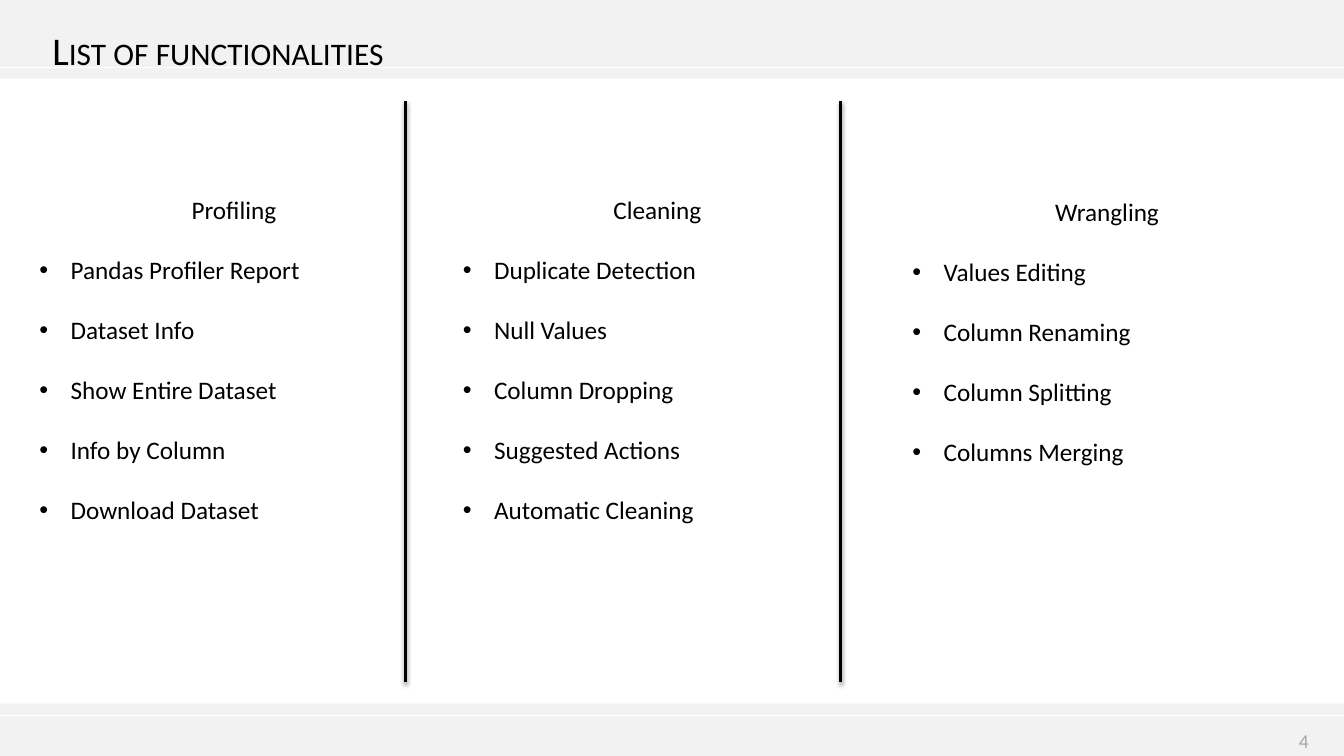
from lxml import etree
from pptx import Presentation
from pptx.dml.color import RGBColor
from pptx.enum.shapes import MSO_CONNECTOR, MSO_SHAPE
from pptx.enum.text import MSO_ANCHOR, MSO_AUTO_SIZE, PP_ALIGN
from pptx.oxml.ns import qn
from pptx.util import Inches, Pt

TITLE = "List of functionalities"
PAGE_NUMBER = "4"
COLUMNS = [
    # heading, left, top, items
    ("Profiling", 0.29, 1.88, ["Pandas Profiler Report", "Dataset Info", "Show Entire Dataset",
                               "Info by Column", "Download Dataset"]),
    ("Cleaning", 4.49, 1.88, ["Duplicate Detection", "Null Values", "Column Dropping",
                              "Suggested Actions", "Automatic Cleaning"]),
    ("Wrangling", 8.95, 1.9, ["Values Editing", "Column Renaming", "Column Splitting",
                              "Columns Merging"]),
]
BANDS = [(0, 0.78), (6.98, 0.52)]  # top, height
BAND_RULES = [0.67, 0.8, 6.97, 7.1]
DIVIDERS = [4.02, 8.34]

WIDTH, HEIGHT = 13.33, 7.5
COLUMN_WIDTH, COLUMN_HEIGHT = 4.06, 3.74
INDENT = 0.31
FONT = "Calibri"
BLACK = RGBColor(0, 0, 0)
WHITE = RGBColor(255, 255, 255)
BAND_GREY = RGBColor(0xF2, 0xF2, 0xF2)
NUMBER_GREY = RGBColor(0xA6, 0xA6, 0xA6)


def place(shape, left, top, width, height):
    """Move and size a shape, in inches."""
    shape.left, shape.top = Inches(left), Inches(top)
    shape.width, shape.height = Inches(width), Inches(height)


def prepare(text_frame, anchor):
    """Set wrapping, fixed size and vertical anchor."""
    text_frame.word_wrap = True
    text_frame.auto_size = MSO_AUTO_SIZE.NONE
    text_frame.vertical_anchor = anchor


def style(paragraph, size, color, align, space_after=0):
    """Format a paragraph and its runs."""
    paragraph.alignment = align
    paragraph.line_spacing = 1.0
    paragraph.space_before = Pt(0)
    paragraph.space_after = Pt(space_after)
    for run in paragraph.runs:
        run.font.name = FONT
        run.font.size = Pt(size)
        run.font.bold = False
        run.font.color.rgb = color


def set_bullet(paragraph, character=None):
    """Give a paragraph a hanging bullet, or none at all."""
    properties = paragraph._p.get_or_add_pPr()
    indent = Inches(INDENT) if character else 0
    properties.set("marL", str(indent))
    properties.set("indent", str(-indent))
    if character:
        etree.SubElement(properties, qn("a:buFont")).set("typeface", "Arial")
        etree.SubElement(properties, qn("a:buChar")).set("char", character)
    else:
        etree.SubElement(properties, qn("a:buNone"))


def add_line(slide, start, end, color, width):
    """Draw a straight line and return it with its empty effect list."""
    line = slide.shapes.add_connector(MSO_CONNECTOR.STRAIGHT, *map(Inches, start + end))
    line.line.color.rgb = color
    line.line.width = Pt(width)
    effects = etree.SubElement(line.element.spPr, qn("a:effectLst"))
    return line, effects


def add_shadow(effects):
    """Add a soft black shadow that falls straight down."""
    shadow = etree.SubElement(effects, qn("a:outerShdw"), blurRad=str(Pt(3.1)),
                              dist=str(Pt(1.6)), dir="5400000", rotWithShape="0")
    color = etree.SubElement(shadow, qn("a:srgbClr"), val=str(BLACK))
    etree.SubElement(color, qn("a:alpha"), val="38000")


def add_background(slide):
    """Draw the grey bands and their white rules behind the title."""
    parts = []
    for top, height in BANDS:
        band = slide.shapes.add_shape(MSO_SHAPE.RECTANGLE, 0, Inches(top),
                                      Inches(WIDTH), Inches(height))
        band.shadow.inherit = False
        band.fill.solid()
        band.fill.fore_color.rgb = BAND_GREY
        band.line.fill.background()
        parts.append(band)
    for y in BAND_RULES:
        parts.append(add_line(slide, (0, y), (WIDTH, y), WHITE, 1)[0])
    for part in parts:
        slide.shapes.title.element.addprevious(part.element)


def fill_title(title):
    """Write the small-caps title."""
    place(title, 0.42, 0.21, 12.51, 0.92)
    title.text_frame.text = TITLE
    prepare(title.text_frame, MSO_ANCHOR.TOP)
    paragraph = title.text_frame.paragraphs[0]
    style(paragraph, 28, BLACK, PP_ALIGN.LEFT)
    paragraph.runs[0].font._element.set("cap", "small")


def fill_column(body, heading, left, top, items):
    """Write a centred heading and its bulleted list."""
    place(body, left, top, COLUMN_WIDTH, COLUMN_HEIGHT)
    text_frame = body.text_frame
    text_frame.text = "\n".join([heading] + items)
    prepare(text_frame, MSO_ANCHOR.TOP)
    for index, paragraph in enumerate(text_frame.paragraphs):
        style(paragraph, 18, BLACK, PP_ALIGN.LEFT if index else PP_ALIGN.CENTER, 21.2)
        set_bullet(paragraph, "•" if index else None)


def add_page_number(slide):
    """Write the page number at the bottom right."""
    box = slide.shapes.add_textbox(Inches(9.97), Inches(7.12), Inches(3.11), Inches(0.39))
    box.text_frame.text = PAGE_NUMBER
    prepare(box.text_frame, MSO_ANCHOR.BOTTOM)
    style(box.text_frame.paragraphs[0], 14, NUMBER_GREY, PP_ALIGN.RIGHT)


presentation = Presentation()
presentation.slide_width, presentation.slide_height = Inches(WIDTH), Inches(HEIGHT)
slide = presentation.slides.add_slide(presentation.slide_layouts.get_by_name("Comparison"))

add_background(slide)
fill_title(slide.shapes.title)
*bodies, spare = list(slide.placeholders)[1:]
for body, column in zip(bodies, COLUMNS):
    fill_column(body, *column)
spare.element.getparent().remove(spare.element)
for x in DIVIDERS:
    add_shadow(add_line(slide, (x, 1), (x, 6.77), BLACK, 2)[1])
add_page_number(slide)

presentation.save("out.pptx")
